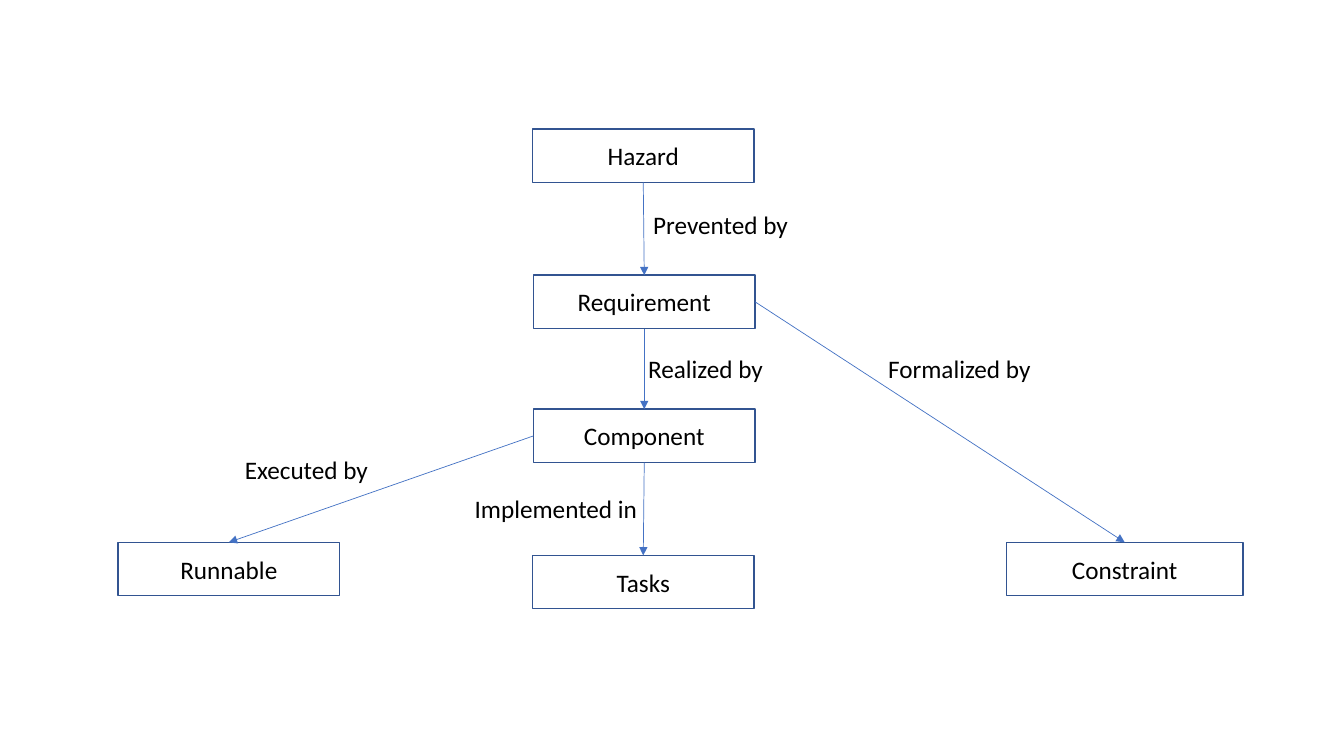
from lxml import etree
from pptx import Presentation
from pptx import util as u
from pptx.dml.color import RGBColor
from pptx.enum import shapes, text
from pptx.oxml.ns import qn

PX = 9144
COLORS = {"ink": "000000", "edge": "325491", "arrow": "4472C4"}
TOP, LEFT, BOTTOM, RIGHT = range(4)

NODES = {
    "Hazard": (411, 0, 220),
    "Requirement": (412, 145, 220),
    "Component": (412, 278, 220),
    "Runnable": (0, 410, 220),
    "Tasks": (411, 423, 220),
    "Constraint": (881, 410, 235),
}
LINKS = [
    ("Hazard", BOTTOM, "Requirement"),
    ("Requirement", BOTTOM, "Component"),
    ("Requirement", RIGHT, "Constraint"),
    ("Component", LEFT, "Runnable"),
    ("Component", BOTTOM, "Tasks"),
]
LABELS = [
    ("Prevented by", 521, 75, 155),
    ("Realized by", 516, 218, 135),
    ("Formalized by", 754, 218, 163),
    ("Executed by", 116, 318, 144),
    ("Implemented in", 344, 356, 190),
]


def px(*sizes):
    return [u.Emu(size * PX) for size in sizes]


def color(name):
    return RGBColor.from_string(COLORS[name])


def write(frame, words, size=18, font="Calibri", ink="ink",
          align=text.PP_ALIGN.LEFT, anchor=text.MSO_ANCHOR.TOP, wrap=True):
    frame.word_wrap = wrap
    frame.vertical_anchor = anchor
    para = frame.paragraphs[0]
    para.alignment = align
    run = para.add_run()
    run.text = words
    run.font.size = u.Pt(size)
    run.font.name = font
    run.font.color.rgb = color(ink)


def add_node(slide, words, box):
    node = slide.shapes.add_shape(shapes.MSO_SHAPE.RECTANGLE, *px(*box))
    node.shadow.inherit = False
    node.fill.background()
    node.line.color.rgb = color("edge")
    node.line.width = u.Pt(1)
    write(node.text_frame, words, align=text.PP_ALIGN.CENTER,
          anchor=text.MSO_ANCHOR.MIDDLE)
    return node


def add_label(slide, words, box):
    label = slide.shapes.add_textbox(*px(*box))
    write(label.text_frame, words, wrap=False)
    label.text_frame.auto_size = text.MSO_AUTO_SIZE.SHAPE_TO_FIT_TEXT


def add_arrow(slide, start, side, end):
    arrow = slide.shapes.add_connector(
        shapes.MSO_CONNECTOR.STRAIGHT, 0, 0, 0, 0)
    arrow.begin_connect(start, side)
    arrow.end_connect(end, TOP)
    arrow.line.color.rgb = color("arrow")
    arrow.line.width = u.Pt(0.5)
    props = arrow.line._get_or_add_ln()
    etree.SubElement(props, qn("a:tailEnd"), type="triangle")
    etree.SubElement(arrow._element.spPr, qn("a:effectLst"))


def add_graph(slide, left, top):
    nodes = {
        words: add_node(slide, words, (left + x, top + y, width, 53))
        for words, (x, y, width) in NODES.items()
    }
    for start, side, end in LINKS:
        add_arrow(slide, nodes[start], side, nodes[end])
    for words, x, y, width in LABELS:
        add_label(slide, words, (left + x, top + y, width, 40))


def main():
    deck = Presentation()
    deck.slide_width, deck.slide_height = px(1333, 750)
    slide = deck.slides.add_slide(deck.slide_layouts[6])
    add_graph(slide, 117, 128)
    deck.save("out.pptx")


if __name__ == "__main__":
    main()
